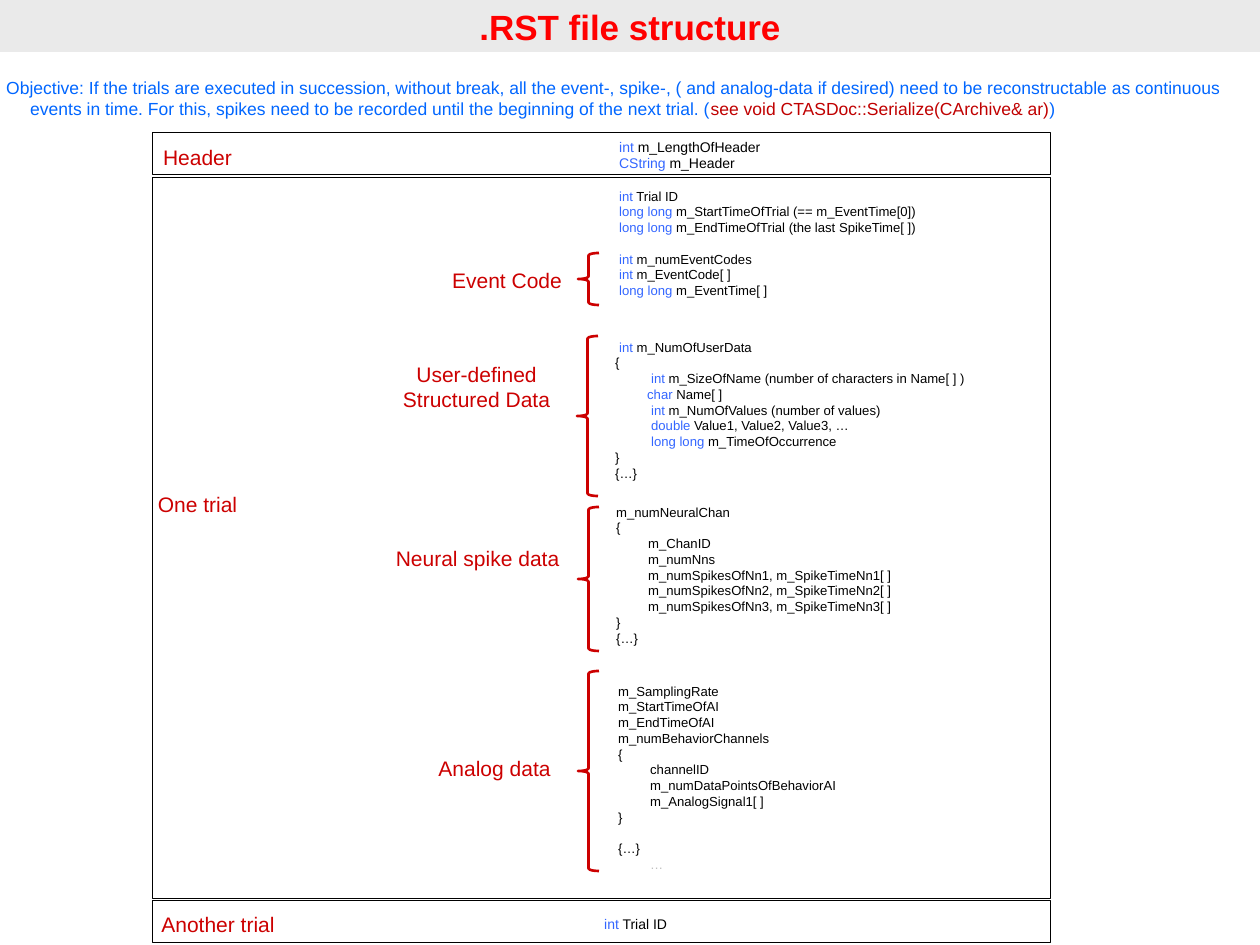
from pptx import Presentation, util as u
from pptx.dml.color import RGBColor
from pptx.enum import shapes, text

PX = 914400 / 63
FONT = "Arial"
RED, BLACK, TYPE_BLUE = "CC0000", "000000", "3366FF"
TYPES = ("int", "long long", "char", "double", "CString")

# Each code line is (indent in px, line).
HEADER = [(4, "int m_LengthOfHeader"), (4, "CString m_Header")]
TRIAL = [
    (4, "int Trial ID"),
    (4, "long long m_StartTimeOfTrial (== m_EventTime[0])"),
    (4, "long long m_EndTimeOfTrial (the last SpikeTime[ ])"),
]
EVENTS = [
    (4, "int m_numEventCodes"),
    (4, "int m_EventCode[ ]"),
    (4, "long long m_EventTime[ ]"),
]
USER_DATA = [
    (4, "int m_NumOfUserData"),
    (0, "{"),
    (36, "int m_SizeOfName (number of characters in Name[ ] )"),
    (32, "char Name[ ]"),
    (36, "int m_NumOfValues (number of values)"),
    (36, "double Value1, Value2, Value3, …"),
    (36, "long long m_TimeOfOccurrence"),
    (0, "}"),
    (0, "{…}"),
]
SPIKES = [
    (0, "m_numNeuralChan"),
    (0, "{"),
    (32, "m_ChanID"),
    (32, "m_numNns"),
    *[(32, f"m_numSpikesOfNn{n}, m_SpikeTimeNn{n}[ ]") for n in (1, 2, 3)],
    (0, "}"),
    (0, "{…}"),
]
ANALOG = [
    (0, "m_SamplingRate"),
    (0, "m_StartTimeOfAI"),
    (0, "m_EndTimeOfAI"),
    (0, "m_numBehaviorChannels"),
    (0, "{"),
    (32, "channelID"),
    (32, "m_numDataPointsOfBehaviorAI"),
    (32, "m_AnalogSignal1[ ]"),
    (0, "}"),
    (0, "{…}"),
    (32, "…"),
]


def px(length):
    return u.Emu(round(length * PX))


def colour(value):
    return RGBColor.from_string(value)


def assign(target, values):
    for name, value in values.items():
        setattr(target, name, value)


class Page:
    def __init__(self, deck):
        self.slide = deck.slides.add_slide(deck.slide_layouts[5])
        self.shapes = self.slide.shapes

    def span(self, para, words, size, shade, bold=False):
        run = para.add_run()
        run.text = words
        assign(run.font, {"name": FONT, "size": u.Pt(size), "bold": bold})
        run.font.color.rgb = colour(shade)

    def title(self, words, width, height):
        box = self.shapes.title
        assign(box, {"left": 0, "top": 0, "width": px(width), "height": px(height)})
        box.fill.solid()
        box.fill.fore_color.rgb = colour("EAEAEA")
        assign(box.text_frame, {"vertical_anchor": text.MSO_ANCHOR.MIDDLE,
                                "margin_top": 0, "margin_bottom": 0})
        para = box.text_frame.paragraphs[0]
        para.alignment = text.PP_ALIGN.CENTER
        self.span(para, words, 40, "FF0000", True)

    def frame(self, left, top, width, height):
        box = self.shapes.add_textbox(px(left), px(top), px(width), px(height))
        box.text_frame.word_wrap = True
        return box.text_frame

    def set_lines(self, para, size, indent=0, hanging=0):
        para.line_spacing = u.Pt(size * 1.2)
        properties = para._p.get_or_add_pPr()
        properties.set("marL", str(px(indent)))
        properties.set("indent", str(px(-hanging)))

    def paragraph(self, spans, left, top, width, height, size, hanging):
        para = self.frame(left, top, width, height).paragraphs[0]
        self.set_lines(para, size, hanging, hanging)
        for words, shade in spans:
            self.span(para, words, size, shade)

    def label(self, words, left, top, width, height=32):
        para = self.frame(left, top, width, height).paragraphs[0]
        para.alignment = text.PP_ALIGN.CENTER
        self.set_lines(para, 24)
        self.span(para, words, 24, RED)

    def code(self, lines, left, top, width, size=15):
        """Write code lines, with a leading type name in blue."""
        frame = self.frame(left, top, width, round(len(lines) * size * 1.05) + 7)
        for number, (indent, line) in enumerate(lines):
            para = frame.add_paragraph() if number else frame.paragraphs[0]
            self.set_lines(para, size, indent)
            if lines is ANALOG and line == "{…}":
                para.space_before = u.Pt(18)
            kind = next((t for t in TYPES if line.startswith(t + " ")), "")
            if kind:
                self.span(para, kind, size, TYPE_BLUE)
            self.span(para, line[len(kind):], size, "C0C0C0" if line == "…" else BLACK)

    def outline(self, kind, left, top, width, height, shade, weight):
        shape = self.shapes.add_shape(kind, px(left), px(top), px(width), px(height))
        shape.shadow.inherit = False
        shape.fill.background()
        shape.line.color.rgb = colour(shade)
        shape.line.width = u.Pt(weight)
        return shape

    def section(self, top, height):
        self.outline(shapes.MSO_SHAPE.RECTANGLE, 152, top, 898, height, BLACK, 0.75)

    def brace(self, left, top, height):
        shape = self.outline(shapes.MSO_SHAPE.LEFT_BRACE, left, top, 21, height, RED, 3)
        shape.adjustments[0] = 0.12
        shape.adjustments[1] = 0.5


def main():
    deck = Presentation()
    assign(deck, {"slide_width": px(1260), "slide_height": px(945)})
    page = Page(deck)
    page.title(".RST file structure", 1260, 52)
    page.paragraph([
        ("Objective: If the trials are executed in succession, without break, all the "
         "event-, spike-, ( and analog-data if desired) need to be reconstructable as "
         "continuous events in time. For this, spikes need to be recorded until the "
         "beginning of the next trial. (", "0066FF"),
        ("see void CTASDoc::Serialize(CArchive& ar)", "C00000"),
        (")", "0066FF"),
    ], 0, 74, 1249, 48, 20, 24)

    for top, height in ((132, 42), (177, 721), (900, 42)):
        page.section(top, height)
    for left, top, height in ((578, 253, 52), (577, 336, 160),
                              (578, 507, 144), (578, 671, 200)):
        page.brace(left, top, height)

    page.label("Header", 137, 141, 121)
    page.label("One trial", 137, 488, 121)
    page.label("Another trial", 147, 908, 142)
    page.label("Event Code", 436, 264, 142)
    page.label("User-defined Structured Data", 378, 358, 197, 57)
    page.label("Neural spike data", 379, 542, 197)
    page.label("Analog data", 396, 752, 197)

    page.code(HEADER, 609, 135, 430, 16)
    page.code(TRIAL, 609, 185, 430)
    page.code(EVENTS, 609, 248, 430)
    page.code(USER_DATA, 609, 336, 410)
    page.code(SPIKES, 610, 501, 430)
    page.code(ANALOG, 612, 680, 407)
    page.code([(0, "int Trial ID")], 598, 912, 430, 16)
    deck.save("out.pptx")


if __name__ == "__main__":
    main()
